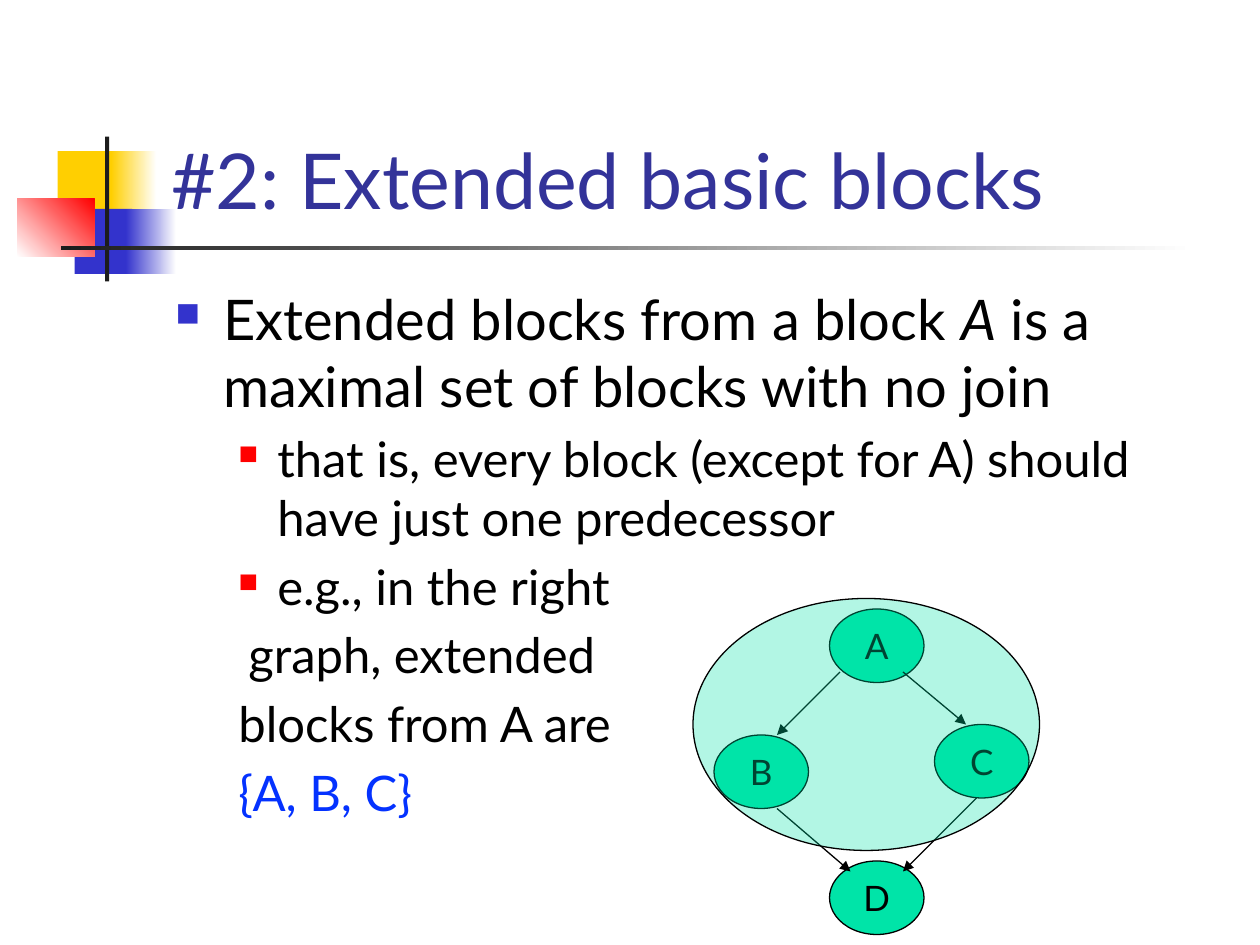
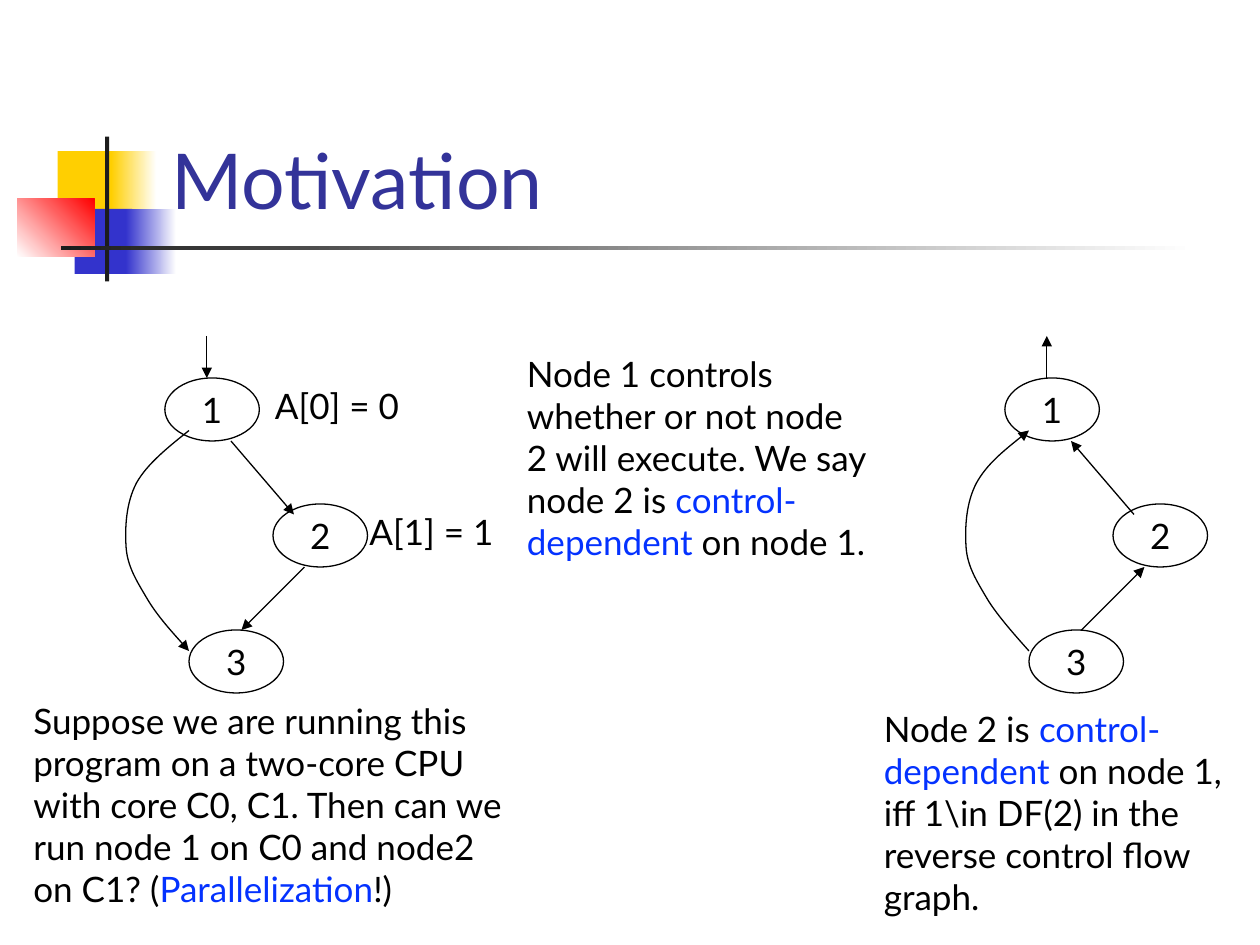
from lxml import etree
from pptx import Presentation
from pptx import util as u
from pptx.dml import color as colors
from pptx.enum import shapes, text
from pptx.oxml import ns

COLUMNS = 120
FONT = "Lato"
BLACK, WHITE, INK = "000000", "FFFFFF", "1C1C1C"
YELLOW, INDIGO, RED = "FFCF01", "3333CC", "FF0000"
TITLE, ACCENT, GREEN = "333399", "0432FF", "00E4A8"
TITLE_ONLY, TITLE_AND_BODY = 5, 1
OVAL, RECTANGLE = shapes.MSO_SHAPE.OVAL, shapes.MSO_SHAPE.RECTANGLE


def rgb(value):
    return colors.RGBColor.from_string(value)


def add_tag(parent, name, **attributes):
    return etree.SubElement(parent, ns.qn(name), attributes)


class Sketch:
    def __init__(self):
        self.deck = Presentation()
        self.deck.slide_width, self.deck.slide_height = u.Inches(10), u.Inches(7.5)
        self.cell = self.deck.slide_width / COLUMNS
        self.page = None

    def cells(self, *counts):
        return [round(count * self.cell) for count in counts]

    def add_page(self, layout, title):
        first = self.page is None
        self.page = self.deck.slides.add_slide(self.deck.slide_layouts[layout])
        if first:
            self.decorate_master()
        frame = self.place(self.page.shapes.title, 15.1, 2.8, 102.2, 19.2)
        frame.vertical_anchor = text.MSO_ANCHOR.BOTTOM
        para = frame.paragraphs[0]
        para.alignment = text.PP_ALIGN.LEFT
        self.add_spans(para, [(title, TITLE)], 44)

    def decorate_master(self):
        bands = [
            (5.5, 14.4, 5.8, 6.2, YELLOW, None, 0),
            (10.6, 14.4, 4.3, 6.2, YELLOW, WHITE, 0),
            (7.1, 19.9, 5.5, 6.2, INDIGO, None, 0),
            (12, 19.9, 4.8, 6.2, INDIGO, WHITE, 0),
            (1.65, 18.95, 7.35, 5.5, WHITE, RED, 45),
            (10, 13, 0.4, 13.8, INK, None, 0),
            (5.8, 23.4, 108, 0.4, INK, WHITE, 0),
        ]
        tree = self.deck.slide_master.shapes.element
        for index, (*area, start, end, angle) in enumerate(bands):
            band = self.shape(RECTANGLE, area, start)
            band.line.fill.background()
            if end:
                band.fill.gradient()
                band.fill.gradient_angle = angle
                for stop, value in zip(band.fill.gradient_stops, (start, end)):
                    stop.color.rgb = rgb(value)
            band.element.nvSpPr.cNvPr.set("id", str(100 + index))
            tree.insert(2 + index, band.element)

    def place(self, holder, *area):
        holder.left, holder.top, holder.width, holder.height = self.cells(*area)
        frame = holder.text_frame
        frame.auto_size = text.MSO_AUTO_SIZE.NONE
        frame.word_wrap = True
        return frame

    def add_spans(self, para, parts, size):
        for content, value, *italic in parts:
            span = para.add_run()
            span.text = content
            span.font.name, span.font.size = FONT, u.Pt(size)
            span.font.color.rgb = rgb(value)
            if italic:
                span.font.italic = True

    def bullets(self, items):
        frame = self.place(self.page.placeholders[1], 15.5, 26.5, 102, 54)
        styles = [(0.38, INDIGO, 60, 32), (0.81, RED, 55, 28)]
        for index, (level, hanging, marked, parts) in enumerate(items):
            para = frame.add_paragraph() if index else frame.paragraphs[0]
            margin, value, percent, size = styles[level]
            para.level = level
            if not index:
                para.space_before = u.Pt(0)
            props = para._p.get_or_add_pPr()
            props.set("marL", str(u.Inches(margin)))
            props.set("indent", str(-u.Inches(hanging)))
            if marked:
                add_tag(add_tag(props, "a:buClr"), "a:srgbClr", val=value)
                add_tag(props, "a:buSzPct", val=str(percent * 1000))
                add_tag(props, "a:buFontTx")
                add_tag(props, "a:buChar", char="■")
            else:
                add_tag(props, "a:buNone")
            self.add_spans(para, parts, size)

    def note(self, area, *parts):
        box = self.page.shapes.add_textbox(*self.cells(*area))
        box.text_frame.word_wrap = True
        self.add_spans(box.text_frame.paragraphs[0], parts, 20)

    def outline(self, item):
        item.line.color.rgb = rgb(BLACK)
        item.line.width = u.Pt(0.75)

    def shape(self, kind, area, fill=None, opacity=None):
        shape = self.page.shapes.add_shape(kind, *self.cells(*area))
        shape.shadow.inherit = False
        self.outline(shape)
        if fill is None:
            shape.fill.background()
        else:
            shape.fill.solid()
            shape.fill.fore_color.rgb = rgb(fill)
        if opacity:
            solid = shape.element.xpath("./p:spPr/a:solidFill/a:srgbClr")[0]
            add_tag(solid, "a:alpha", val=str(opacity * 1000))
        return shape

    def node(self, label, left, top, height, fill=None):
        frame = self.shape(OVAL, (left, top, 9, height), fill).text_frame
        frame.word_wrap = False
        frame.vertical_anchor = text.MSO_ANCHOR.MIDDLE
        frame.paragraphs[0].alignment = text.PP_ALIGN.CENTER
        self.add_spans(frame.paragraphs[0], [(label, BLACK)], 20)

    def arrowhead(self, item, end):
        add_tag(item.element.xpath("./p:spPr/a:ln")[0], end, type="triangle")

    def arrow(self, points, end="a:tailEnd"):
        line = self.page.shapes.add_connector(
            shapes.MSO_CONNECTOR.STRAIGHT, *self.cells(*points))
        self.outline(line)
        self.arrowhead(line, end)
        add_tag(line.element.spPr, "a:effectLst")

    def curve(self, points, end):
        start, *rest = [self.cells(*point) for point in points]
        builder = self.page.shapes.build_freeform(*start)
        builder.add_line_segments(rest, close=False)
        curve = builder.convert_to_shape()
        route = curve.element.xpath(".//a:path")[0]
        segments = route.findall(ns.qn("a:lnTo"))
        for index in range(0, len(segments), 3):
            bend = add_tag(route, "a:cubicBezTo")
            for segment in segments[index:index + 3]:
                bend.append(segment[0])
                route.remove(segment)
        curve.fill.background()
        curve.shadow.inherit = False
        self.outline(curve)
        self.arrowhead(curve, end)

    def flow_graph(self, shift, end):
        for label, left, top in [("1", 15.7, 36), ("2", 26, 48), ("3", 18, 60)]:
            self.node(label, left + shift, top, 6)
        for x1, y1, x2, y2 in [(19.7, 32, 19.7, 36), (22, 42, 28, 49),
                               (29, 54, 23, 60)]:
            self.arrow((x1 + shift, y1, x2 + shift, y2), end)
        bypass = [(18, 41), (16, 42.6), (14, 44.2), (13, 46), (12, 47.9),
                  (11.9, 50.2), (12, 52), (12.1, 53.9), (13, 55.3), (14, 57),
                  (15, 58.7), (17.3, 61.2), (18, 62)]
        self.curve([(x + shift, y) for x, y in bypass], end)


def extended_blocks(sketch):
    sketch.add_page(TITLE_AND_BODY, "#2: Extended basic blocks")
    sketch.bullets([
        (0, 0.38, True, [("Extended blocks from a block ", BLACK), ("A", BLACK, True),
                         (" is a maximal set of blocks with no join", BLACK)]),
        (1, 0.31, True, [("that is, every block (except for A) should have just "
                          "one predecessor", BLACK)]),
        (1, 0.31, True, [("e.g., in the right", BLACK)]),
        (1, 0.23, False, [("graph, extended", BLACK)]),
        (1, 0.31, False, [("blocks from A are", BLACK)]),
        (1, 0.31, False, [("{A, B, C}", ACCENT)]),
    ])
    for label, left, top in [("A", 79, 58), ("B", 68, 70), ("C", 89, 69), ("D", 79, 82)]:
        sketch.node(label, left, top, 7, GREEN)
    for points in [(80, 64, 74, 70), (86, 64, 92, 69),
                   (74, 77, 81, 83), (93, 76, 86, 83)]:
        sketch.arrow(points)
    sketch.shape(OVAL, (66, 57, 33, 24), GREEN, opacity=30)


def motivation(sketch):
    sketch.add_page(TITLE_ONLY, "Motivation")
    sketch.flow_graph(0, "a:tailEnd")
    sketch.note((2, 66, 48, 21.2),
                ("Suppose we are running this program on a two-core CPU with core "
                 "C0, C1. Then can we run node 1 on C0 and node2 on C1? (", BLACK),
                ("Parallelization", ACCENT), ("!)", BLACK))
    sketch.note((25, 36, 17, 5.2), ("A[0] = 0", BLACK))
    sketch.note((34, 48, 17, 5.2), ("A[1] = 1", BLACK))
    sketch.flow_graph(80, "a:headEnd")
    sketch.note((49, 33, 35, 21.2),
                ("Node 1 controls whether or not node 2 will execute. "
                 "We say node 2 is ", BLACK),
                ("control-dependent", ACCENT), (" on node 1.", BLACK))
    sketch.note((83, 66.8, 35, 21.2),
                ("Node 2 is ", BLACK), ("control-dependent", ACCENT),
                (" on node 1, iff 1\\in DF(2) in the reverse control flow graph.",
                 BLACK))


def main():
    sketch = Sketch()
    extended_blocks(sketch)
    motivation(sketch)
    sketch.deck.save("out.pptx")


if __name__ == "__main__":
    main()
